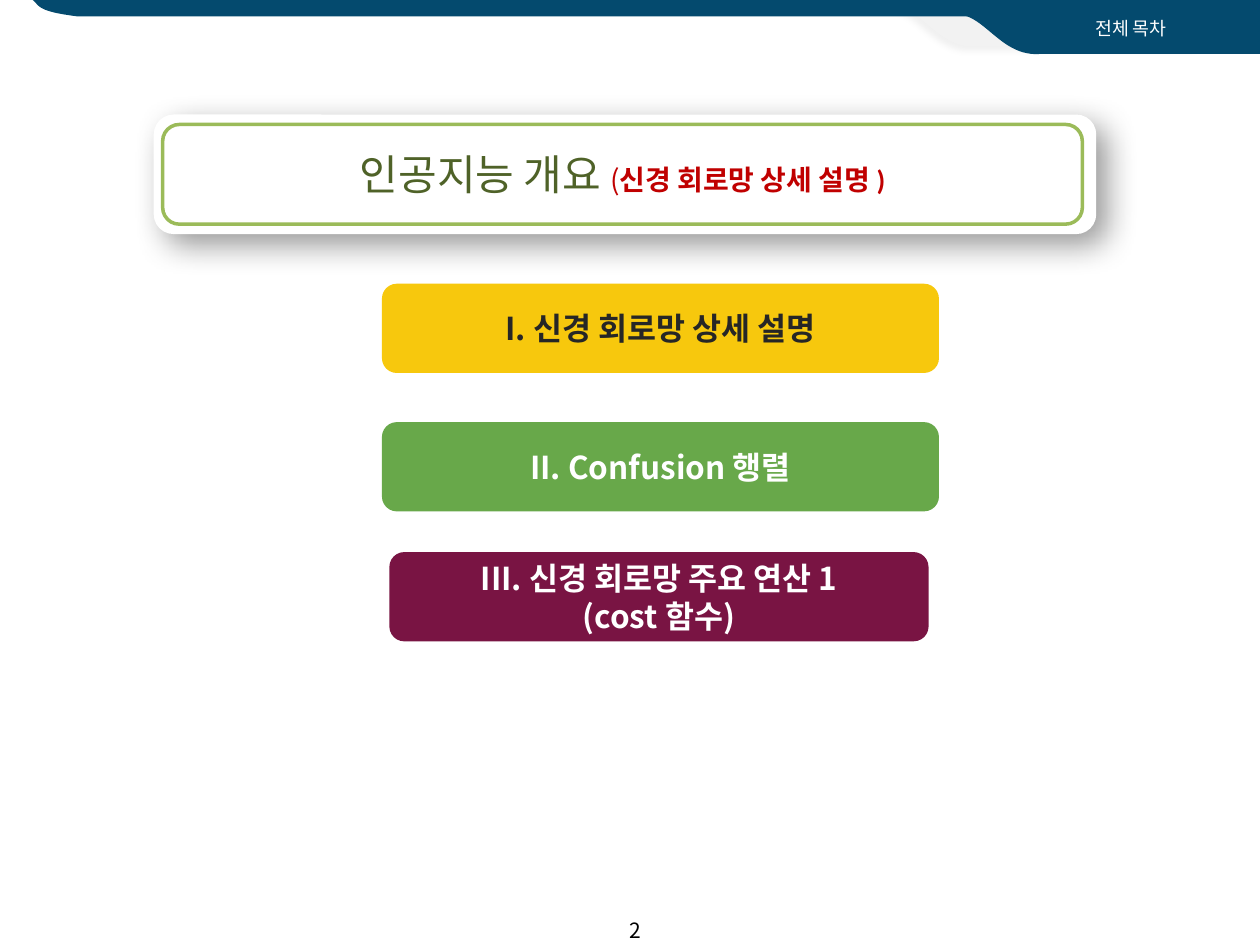
from dataclasses import dataclass

from lxml.etree import SubElement
from pptx import Presentation
from pptx.dml.color import RGBColor
from pptx.enum.shapes import MSO_SHAPE
from pptx.enum.text import MSO_ANCHOR, PP_ALIGN
from pptx.oxml.ns import qn
from pptx.util import Cm, Pt


@dataclass(frozen=True)
class Theme:
    korean: str = "Noto Sans CJK KR"
    latin: str = "Calibri"
    white: str = "FFFFFF"
    black: str = "000000"
    navy: str = "044A6E"
    pale: str = "F2F2F2"
    olive: str = "4F6228"
    red: str = "C00000"
    frame: str = "9BBB59"
    yellow: str = "F7C80D"
    green: str = "68A84A"
    wine: str = "791443"
    dark: str = "262626"
    header_size: float = 10.5
    number_size: float = 12
    note_size: float = 16
    item_size: float = 18
    title_size: float = 24


theme = Theme()


def style_font(font, properties, size, color, name=theme.korean, bold=False):
    font.size = Pt(size)
    font.bold = bold
    font.color.rgb = RGBColor.from_string(color)
    font.name = name
    SubElement(properties, qn("a:ea"), typeface=theme.korean)


def add_shadow(shape, alpha, blur, distance, angle):
    shape.shadow.inherit = False
    effects = shape._element.spPr.find(qn("a:effectLst"))
    outer = SubElement(effects, qn("a:outerShdw"), blurRad=str(Pt(blur)), dist=str(Pt(distance)),
                       dir=str(angle * 60000), algn="ctr", rotWithShape="0")
    color = SubElement(outer, qn("a:srgbClr"), val=theme.black)
    SubElement(color, qn("a:alpha"), val=str(alpha * 1000))


deck = Presentation()
deck.slide_width, deck.slide_height = Cm(25.4), Cm(19.05)
page = deck.slides.add_slide(deck.slide_layouts[6])
shapes = page.shapes

# Header bands: three straight corners, then a curve back to the start
bands = [
    (theme.pale, [(18.11, 0.15), (24.13, 0.15), (24.13, 0.94), (19.69, 0.94)],
     [(18.95, 0.99), (18.62, 0.23)]),
    (theme.navy, [(19.38, 0.3), (25.4, 0.3), (25.4, 1.09), (20.96, 1.09)],
     [(20.22, 1.14), (19.89, 0.38)]),
    (theme.navy, [(0.66, 0), (25.4, 0), (25.4, 0.33), (1.55, 0.33)],
     [(0.76, 0.23), (0.81, 0.13)]),
]
curve_steps = 24
for color, corners, controls in bands:
    curve = [corners[-1], *controls, corners[0]]
    points = corners[1:]
    for step in range(1, curve_steps):
        t = step / curve_steps
        weights = ((1 - t) ** 3, 3 * t * (1 - t) ** 2, 3 * t * t * (1 - t), t ** 3)
        points.append(tuple(sum(w * point[axis] for w, point in zip(weights, curve))
                            for axis in (0, 1)))
    builder = shapes.build_freeform(Cm(corners[0][0]), Cm(corners[0][1]))
    builder.add_line_segments([(Cm(x), Cm(y)) for x, y in points], close=True)
    band = builder.convert_to_shape()
    band.fill.solid()
    band.fill.fore_color.rgb = RGBColor.from_string(color)
    band.line.fill.background()
    if color == theme.pale:
        add_shadow(band, 5, 4, 3, 135)
    else:
        band.shadow.inherit = False

# Title card with its frame
card = shapes.add_shape(MSO_SHAPE.ROUNDED_RECTANGLE, Cm(3.1), Cm(2.31), Cm(19), Cm(2.41))
card.fill.solid()
card.fill.fore_color.rgb = RGBColor.from_string(theme.white)
card.line.fill.background()
add_shadow(card, 40, 18, 8, 45)

frame = shapes.add_shape(MSO_SHAPE.ROUNDED_RECTANGLE, Cm(3.28), Cm(2.51), Cm(18.54), Cm(2.01))
frame.fill.background()
frame.line.color.rgb = RGBColor.from_string(theme.frame)
frame.line.width = Pt(2)
frame.shadow.inherit = False

title = shapes.add_textbox(Cm(3.28), Cm(2.87), Cm(18.54), Cm(2.31))
title.text_frame.word_wrap = True
para = title.text_frame.paragraphs[0]
para.alignment = PP_ALIGN.CENTER
for text, size, color, name, bold in [
    ("인공지능 개요 ", theme.title_size, theme.olive, theme.korean, False),
    ("(", theme.note_size, theme.red, theme.korean, False),
    ("신경 회로망 상세 설명 )", theme.note_size, theme.red, theme.latin, True),
]:
    span = para.add_run()
    span.text = text
    style_font(span.font, span._r.get_or_add_rPr(), size, color, name, bold)

# Header label and page number
for text, left, top, width, height, size, color, anchor in [
    ("전체 목차", 20.5, 0.23, 4.6, 0.71, theme.header_size, theme.white, MSO_ANCHOR.TOP),
    ("2", 11.91, 18.24, 1.8, 1.02, theme.number_size, theme.black, MSO_ANCHOR.MIDDLE),
]:
    box = shapes.add_textbox(Cm(left), Cm(top), Cm(width), Cm(height))
    box.text_frame.word_wrap = True
    box.text_frame.vertical_anchor = anchor
    para = box.text_frame.paragraphs[0]
    para.text = text
    para.alignment = PP_ALIGN.CENTER
    style_font(para.font, para._p.pPr.get_or_add_defRPr(), size, color)

# Contents
for lines, left, top, width, fill, color in [
    (["I. 신경 회로망 상세 설명"], 7.7, 5.72, 11.23, theme.yellow, theme.dark),
    (["II. Confusion 행렬"], 7.7, 8.51, 11.23, theme.green, theme.white),
    (["III. 신경 회로망 주요 연산 1", "(cost 함수)"], 7.85, 11.13, 10.87, theme.wine, theme.white),
]:
    item = shapes.add_shape(MSO_SHAPE.ROUNDED_RECTANGLE, Cm(left), Cm(top), Cm(width), Cm(1.8))
    item.fill.solid()
    item.fill.fore_color.rgb = RGBColor.from_string(fill)
    item.line.fill.background()
    item.shadow.inherit = False
    item.text_frame.vertical_anchor = MSO_ANCHOR.MIDDLE
    item.text_frame.text = "\n".join(lines)
    for para in item.text_frame.paragraphs:
        para.alignment = PP_ALIGN.CENTER
        style_font(para.font, para._p.pPr.get_or_add_defRPr(), theme.item_size, color, bold=True)

deck.save("out.pptx")
